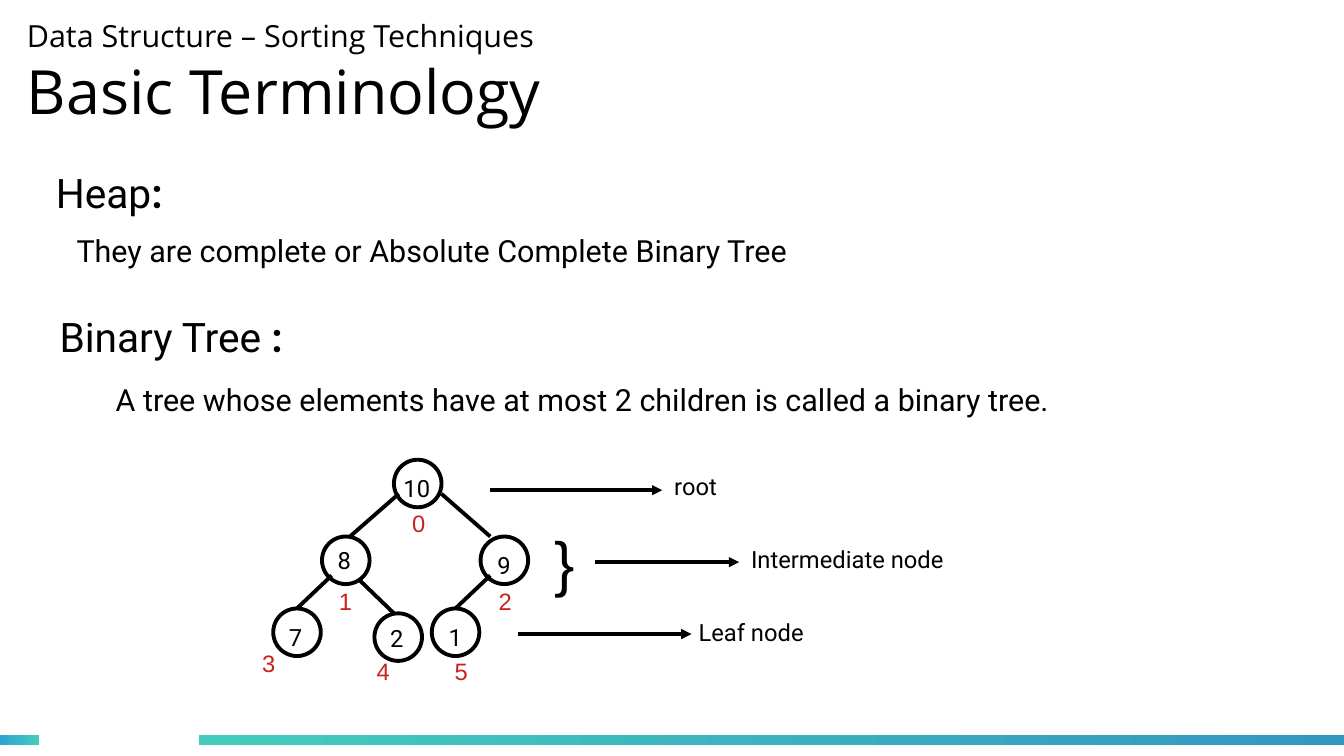
"""Build the slide on heap and binary tree terminology."""
from lxml.etree import SubElement
from pptx import Presentation
from pptx.dml.color import RGBColor
from pptx.enum.shapes import MSO_CONNECTOR, MSO_SHAPE
from pptx.enum.text import MSO_ANCHOR, MSO_AUTO_SIZE
from pptx.oxml.ns import qn
from pptx.util import Inches, Pt


def color(value):
    return RGBColor.from_string(value)


class SlideBuilder:
    black, white, red = "000000", "FFFFFF", "C9211E"
    teal = "43CCBD"
    body_font, title_font, index_font = "Roboto", "Open Sans", "Arial"
    stroke, node_size = 2.3, 0.39

    def __init__(self, page):
        self.page = page

    def bar(self, left, width, start, end):
        bar = self.page.shapes.add_shape(
            MSO_SHAPE.RECTANGLE, Inches(left), Inches(6.03), Inches(width), Inches(0.08))
        bar.shadow.inherit = False
        bar.line.fill.background()
        bar.fill.gradient()
        bar.fill.gradient_angle = 0
        for stop, value in zip(bar.fill.gradient_stops, (start, end)):
            stop.color.rgb = color(value)

    def text(self, words, left, top, width, height, size=14, font=body_font,
             ink=black, wrap=False, shapes=None):
        shapes = self.page.shapes if shapes is None else shapes
        box = shapes.add_textbox(Inches(left), Inches(top), Inches(width), Inches(height))
        frame = box.text_frame
        frame.text = words
        frame.word_wrap = wrap
        frame.auto_size = MSO_AUTO_SIZE.SHAPE_TO_FIT_TEXT
        for span in frame.paragraphs[0].runs:
            span.font.size = Pt(size)
            span.font.name = font
            span.font.color.rgb = color(ink)
        return box

    def title(self, words, sizes):
        box = self.text(words, 0.22, 0.08, 7.68, 1.02, font=self.title_font, wrap=True)
        frame = box.text_frame
        frame.vertical_anchor = MSO_ANCHOR.MIDDLE
        frame.margin_left = frame.margin_right = frame.margin_top = frame.margin_bottom = 0
        for span, size in zip(frame.paragraphs[0].runs, sizes):
            span.font.size = Pt(size)

    def heading(self, words, left, top):
        box = self.text(words, left, top, 2.4, 0.55, size=24, wrap=True)
        para = box.text_frame.paragraphs[0]
        colon = para.add_run()
        colon.text = ":"
        colon.font.size = Pt(24)
        colon.font.name = self.body_font
        colon.font.bold = True
        colon.font.color.rgb = color(self.black)

    def node(self, left, top):
        circle = self.page.shapes.add_shape(
            MSO_SHAPE.OVAL, Inches(left), Inches(top),
            Inches(self.node_size), Inches(self.node_size))
        circle.shadow.inherit = False
        circle.fill.solid()
        circle.fill.fore_color.rgb = color(self.white)
        circle.line.color.rgb = color(self.black)
        circle.line.width = Pt(self.stroke)
        return circle

    def line(self, start, end, width=stroke, shapes=None):
        shapes = self.page.shapes if shapes is None else shapes
        points = [Inches(value) for value in (*start, *end)]
        line = shapes.add_connector(MSO_CONNECTOR.STRAIGHT, *points)
        line.line.color.rgb = color(self.black)
        line.line.width = Pt(width)
        SubElement(line._element.spPr, qn("a:effectLst"))
        return line

    def callout(self, words, start, end, y, label_left, label_top, label_width):
        group = self.page.shapes.add_group_shape()
        arrow = self.line((start, y), (end, y), 0, group.shapes)
        SubElement(arrow.line._get_or_add_ln(), qn("a:tailEnd"), type="triangle")
        self.text(words, label_left, label_top, label_width, 0.36, shapes=group.shapes)
        return group


def main():
    deck = Presentation()
    deck.slide_width, deck.slide_height = Inches(11.02), Inches(6.2)
    slide = SlideBuilder(deck.slides.add_slide(deck.slide_layouts[6]))

    slide.bar(0, 0.32, "30A2D2", slide.teal)
    slide.bar(1.63, 9.4, slide.teal, "3497C1")
    slide.title("Data Structure – Sorting Techniques\vBasic Terminology", (18, 36))
    slide.heading("Heap", 0.36, 1.33)
    slide.text("They are complete or Absolute Complete Binary Tree",
               0.53, 1.85, 7.26, 0.44, size=18, wrap=True)
    slide.heading("Binary Tree ", 0.39, 2.51)
    slide.text("A tree whose elements have at most 2 children is called a binary tree.",
               0.85, 3.08, 9.55, 0.44, size=18, wrap=True)

    # value: circle position, value position, index position
    nodes = {
        "10": ((3.23, 3.77), (3.21, 3.84), (3.28, 4.12)),
        "8": ((2.64, 4.4), (2.67, 4.43), (2.68, 4.76)),
        "9": ((3.94, 4.4), (3.98, 4.47), (3.99, 4.76)),
        "7": ((2.24, 4.99), (2.27, 5.06), (2.05, 5.27)),
        "2": ((3.07, 5.03), (3.1, 5.07), (2.99, 5.34)),
        "1": ((3.54, 4.99), (3.58, 5.06), (3.63, 5.34)),
    }
    circles = {value: slide.node(*places[0]) for value, places in nodes.items()}

    slide.line((3.27, 4.05), (2.87, 4.4))
    slide.line((3.62, 4.05), (4.02, 4.4))
    slide.line((2.95, 4.76), (3.23, 5.03))
    slide.line((2.72, 4.72), (2.44, 4.99)).end_connect(circles["7"], 0)
    slide.line((4.02, 4.72), (3.74, 4.99)).end_connect(circles["1"], 0)

    for index, (value, (_, value_place, index_place)) in enumerate(nodes.items()):
        slide.text(value, *value_place, 0.44 if len(value) > 1 else 0.32, 0.36)
        slide.text(str(index), *index_place, 0.31, 0.32,
                   font=slide.index_font, ink=slide.red)

    slide.callout("root", 4.02, 5.43, 4.02, 5.43, 3.82, 0.59)
    slide.callout("Leaf node", 4.25, 5.67, 5.2, 5.63, 5.02, 1.16)
    middle = slide.callout("Intermediate node", 4.88, 6.06, 4.61, 6.06, 4.42, 2.01)
    slide.text("}", 4.45, 4.25, 0.43, 0.74, size=36, font=slide.index_font,
               wrap=True, shapes=middle.shapes)

    deck.save("out.pptx")


if __name__ == "__main__":
    main()
